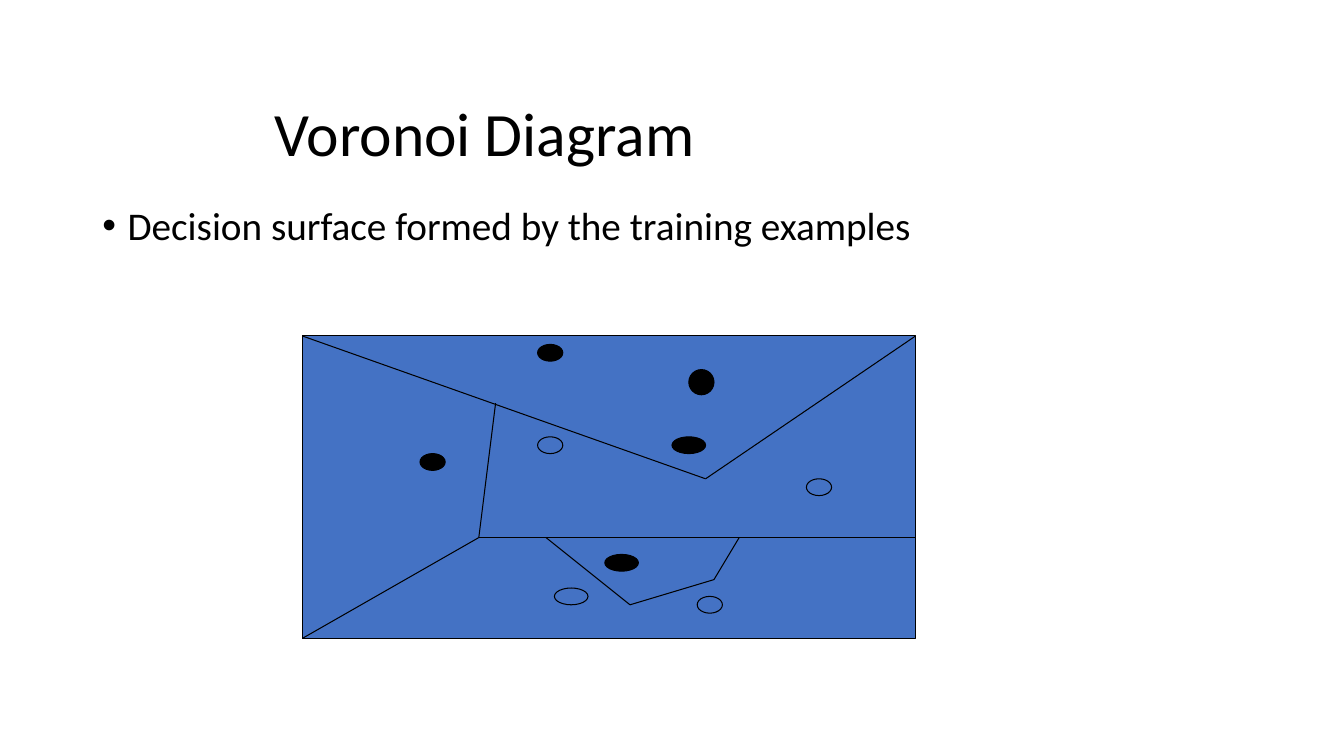
from itertools import pairwise

from pptx import Presentation
from pptx.dml.color import RGBColor
from pptx.enum.shapes import MSO_CONNECTOR as CONN, MSO_SHAPE as SHAPE
from pptx.enum.text import MSO_ANCHOR as ANCHOR, MSO_AUTO_SIZE as AUTO, PP_ALIGN as ALIGN
from pptx.oxml.ns import qn
from pptx.util import Pt
from lxml.etree import SubElement

COLORS = {"black": "000000", "blue": "4472C4", "white": "FFFFFF"}


class VoronoiSlide:
    font = "Calibri"
    line_width = 0.75

    def __init__(self, prs):
        self.slide = prs.slides.add_slide(prs.slide_layouts[1])
        fill = self.slide.background.fill
        fill.solid()
        fill.fore_color.rgb = self.color("white")

    def color(self, name):
        return RGBColor.from_string(COLORS[name])

    def placeholder(self, idx, box, text, size, anchor):
        s = self.slide.placeholders[idx]
        s.left, s.top, s.width, s.height = map(Pt, box)
        tf = s.text_frame
        tf.text = text
        tf.word_wrap = True
        tf.auto_size = AUTO.NONE
        tf.vertical_anchor = anchor
        p = tf.paragraphs[0]
        p.alignment = ALIGN.LEFT
        p.line_spacing = 0.9
        p.font.name = self.font
        p.font.size = Pt(size)
        p.font.color.rgb = self.color("black")
        return p

    def title(self, box, text):
        self.placeholder(0, box, text, 44, ANCHOR.MIDDLE)

    def bullet(self, box, text):
        p = self.placeholder(1, box, text, 28, ANCHOR.TOP)
        p.space_before = Pt(10)
        pPr = p._p.get_or_add_pPr()
        pPr.set("marL", str(Pt(18)))
        pPr.set("indent", str(-Pt(18)))

    def outline(self, s):
        s.line.color.rgb = self.color("black")
        s.line.width = Pt(self.line_width)

    def shape(self, kind, box, fill):
        s = self.slide.shapes.add_shape(kind, *map(Pt, box))
        s.shadow.inherit = False
        s.fill.solid()
        s.fill.fore_color.rgb = self.color(fill)
        self.outline(s)

    def boundary(self, points):
        for start, end in pairwise(points):
            s = self.slide.shapes.add_connector(CONN.STRAIGHT, *map(Pt, start + end))
            self.outline(s)
            SubElement(s._element.spPr, qn("a:effectLst"))


def main():
    prs = Presentation()
    prs.slide_width, prs.slide_height = Pt(960), Pt(540)
    voronoi = VoronoiSlide(prs)
    voronoi.title((188.64, 67.68, 642.9, 59.76), "Voronoi Diagram")
    voronoi.bullet((66, 144, 828, 342.7), "Decision surface formed by the training examples")
    voronoi.shape(SHAPE.RECTANGLE, (216, 240, 438, 216), "blue")

    examples = {
        "blue": [(396, 420, 24, 12), (576, 342, 18, 12), (384, 312, 18, 12), (498, 426, 18, 12)],
        "black": [(300, 324, 18, 12), (384, 246, 18, 12), (492, 264, 18, 18),
                  (480, 312, 24, 12), (432, 396, 24, 12)],
    }
    for fill, boxes in examples.items():
        for box in boxes:
            voronoi.shape(SHAPE.OVAL, box, fill)

    boundaries = [
        [(216, 240), (504, 342), (654, 240)],
        [(354, 288), (342, 384), (216, 456)],
        [(342, 384), (654, 384)],
        [(390, 384), (450, 432), (510, 414), (528, 384)],
    ]
    for points in boundaries:
        voronoi.boundary(points)
    prs.save("out.pptx")


if __name__ == "__main__":
    main()
